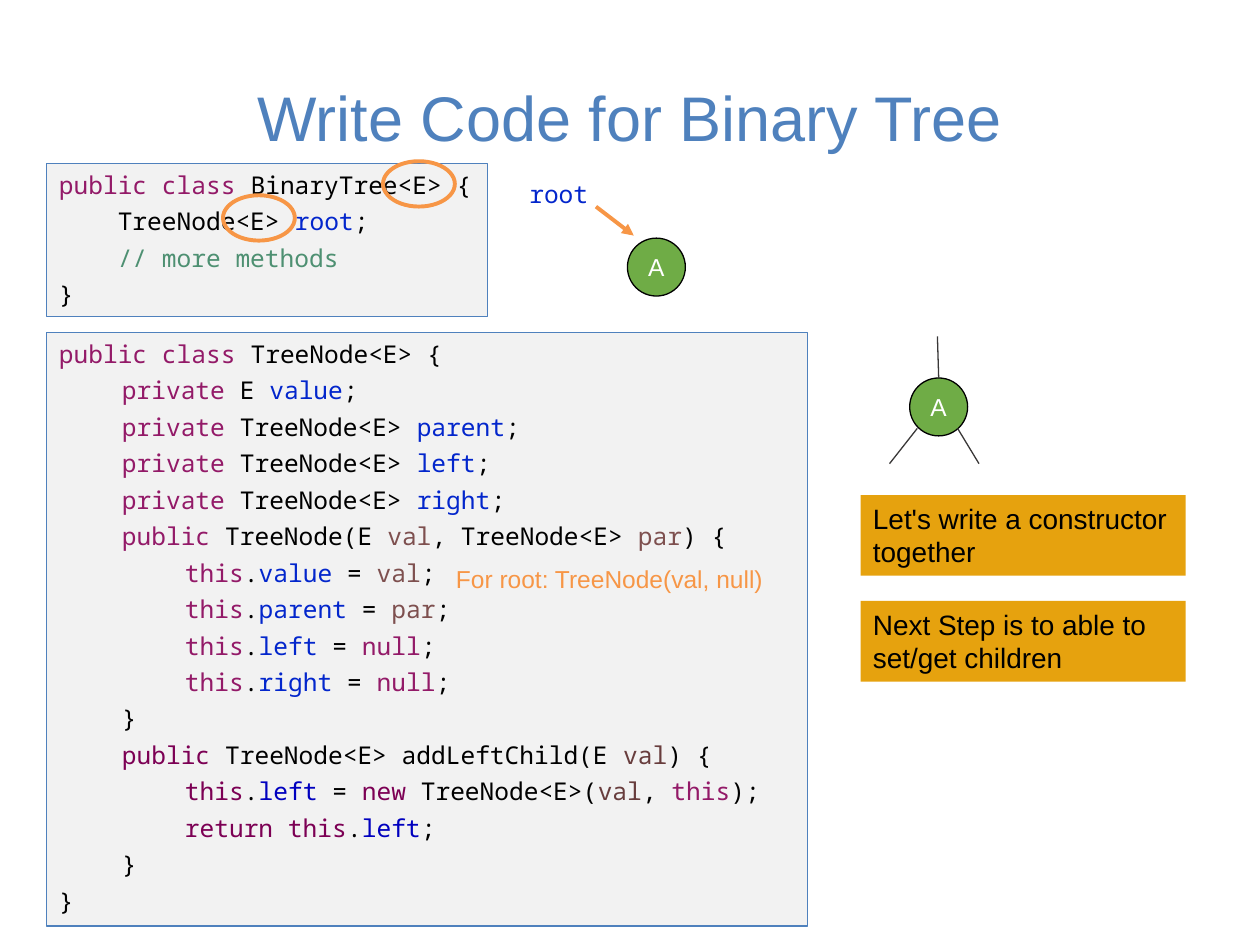
import pptx
import pptx.util
import pptx.dml.color
import pptx.enum.shapes
import pptx.enum.text
import pptx.oxml.ns
from lxml import etree

Inches, Pt = pptx.util.Inches, pptx.util.Pt
SHAPE = pptx.enum.shapes.MSO_SHAPE
ALIGN = pptx.enum.text.PP_ALIGN
ANCHOR = pptx.enum.text.MSO_ANCHOR
SANS, MONO = "Arial", "Noto Sans Mono"

COLORS = {
    "title": "4F81BD", "panel": "F2F2F2", "node": "6FAC46", "edge": "3A3838",
    "mark": "F79646", "note": "E6A20E", "white": "FFFFFF", "text": "000000",
    "key": "931A68", "field": "0326CC", "arg": "7E504F", "comment": "4E9072",
    "key2": "7C0054", "field2": "0000BF", "arg2": "683D3D",
}

# Content: each code line is a list of (text, colour); plain strings are black
TREE = [
    [("public class ", "key"), "BinaryTree<E> {"],
    ["    TreeNode<E> ", ("root", "field"), ";"],
    [("    // more methods", "comment")],
    ["}"],
]


def declare(kind, name):
    return [("\tprivate ", "key"), kind + " ", (name, "field"), ";"]


def assign(name, value, color):
    return [("\t\tthis", "key"), ".", (name, "field"), " = ", (value, color), ";"]


NODE = [
    [("public class ", "key"), "TreeNode<E> {"],
    declare("E", "value"),
    *[declare("TreeNode<E>", name) for name in ("parent", "left", "right")],
    [("\tpublic ", "key"), "TreeNode(E ", ("val", "arg"), ", TreeNode<E> ",
     ("par", "arg"), ") {"],
    assign("value", "val", "arg"),
    assign("parent", "par", "arg"),
    assign("left", "null", "key"),
    assign("right", "null", "key"),
    ["\t}"],
    [("\tpublic ", "key2"), "TreeNode<E> addLeftChild(E ", ("val", "arg2"), ") {"],
    [("\t\tthis", "key2"), ".", ("left ", "field2"), "= ", ("new ", "key2"),
     "TreeNode<E>(", ("val", "arg2"), ", ", ("this", "key"), ");"],
    [("\t\treturn this", "key2"), ".", ("left", "field2"), ";"],
    ["\t}"],
    ["}"],
]
PANELS = [(TREE, (0.37, 1.3, 3.5, 1.21)), (NODE, (0.37, 2.64, 6.04, 4.71))]
LABELS = [  # text, box, size, font, colour, alignment, wrap
    ("Write Code for Binary Tree", (0.5, 0.3, 9, 1.25), 36, SANS, "title", ALIGN.CENTER, True),
    ("root", (4.1, 1.37, 0.67, 0.34), 14, MONO, "field", ALIGN.CENTER, True),
    ("For root: TreeNode(val, null)", (3.52, 4.43, 2.65, 0.34), 14, SANS, "mark", ALIGN.LEFT, False),
]
NOTES = ["Let's write a constructor together", "Next Step is to able to set/get children"]
NODES = [(4.98, 1.89), (7.22, 3)]
RINGS = [(3.04, 1.28), (1.77, 1.55)]
EDGES = [(7.28, 3.4, 7.06, 3.68), (7.44, 2.67, 7.45, 3), (7.6, 3.4, 7.77, 3.68)]
ARROW = (4.73, 1.64, 5.03, 1.87)

deck = pptx.Presentation()
deck.slide_width, deck.slide_height = Inches(10), Inches(7.5)
slide = deck.slides.add_slide(deck.slide_layouts[6])


def rgb(name):
    return pptx.dml.color.RGBColor.from_string(COLORS[name])


def style(font, size, face, color):
    font.size, font.name = Pt(size), face
    font.color.rgb = rgb(color)


def shape(kind, box, fill=None, line=None, width=0.75):
    item = slide.shapes.add_shape(kind, *map(Inches, box))
    item.shadow.inherit = False
    if fill:
        item.fill.solid()
        item.fill.fore_color.rgb = rgb(fill)
    else:
        item.fill.background()
    if line:
        item.line.color.rgb = rgb(line)
        item.line.width = Pt(width)
    else:
        item.line.fill.background()
    return item


def write(item, text, size, face, color, align, anchor):
    frame = item.text_frame
    frame.text = text
    frame.word_wrap = True
    frame.vertical_anchor = anchor
    para = frame.paragraphs[0]
    para.alignment = align
    style(para.runs[0].font, size, face, color)
    return frame


def connect(ends, color, width):
    item = slide.shapes.add_connector(
        pptx.enum.shapes.MSO_CONNECTOR.STRAIGHT, *map(Inches, ends))
    item.line.color.rgb = rgb(color)
    item.line.width = Pt(width)
    etree.SubElement(item.element.spPr, pptx.oxml.ns.qn("a:effectLst"))
    return item


def add_tabs(para):
    tabs = etree.SubElement(para._p.get_or_add_pPr(), pptx.oxml.ns.qn("a:tabLst"))
    for step in (1, 2):
        etree.SubElement(tabs, pptx.oxml.ns.qn("a:tab"),
                         pos=str(Inches(0.5 * step)), algn="l")


# Code panels
for lines, box in PANELS:
    frame = shape(SHAPE.RECTANGLE, box, "panel", "title").text_frame
    frame.word_wrap = True
    frame.vertical_anchor = ANCHOR.TOP
    for row, line in enumerate(lines):
        para = frame.add_paragraph() if row else frame.paragraphs[0]
        add_tabs(para)
        para.alignment = ALIGN.LEFT
        para.space_before, para.space_after = Pt(2 if row else 0), Pt(2)
        for part in line:
            text, color = (part, "text") if isinstance(part, str) else part
            run = para.add_run()
            run.text = text
            style(run.font, 14, MONO, color)

# Tree nodes, their edges and the root arrow
for left, top in NODES:
    oval = shape(SHAPE.OVAL, (left, top, 0.46, 0.46), "node", "text")
    frame = write(oval, "A", 14, SANS, "white", ALIGN.CENTER, ANCHOR.MIDDLE)
    frame.margin_left = frame.margin_right = 0
    frame.margin_top = frame.margin_bottom = 0
for ends in EDGES:
    connect(ends, "edge", 0.75)
arrow = connect(ARROW, "mark", 2.25)
etree.SubElement(arrow.line._get_or_add_ln(), pptx.oxml.ns.qn("a:tailEnd"), type="triangle")

# Notes on the right
for row, text in enumerate(NOTES):
    note = shape(SHAPE.RECTANGLE, (6.83, 3.93 + 0.84 * row, 2.58, 0.64), "note")
    write(note, text, 16, SANS, "text", ALIGN.LEFT, ANCHOR.TOP)

# Rings around the type parameters
for left, top in RINGS:
    shape(SHAPE.OVAL, (left, top, 0.57, 0.36), line="mark", width=2.25)

# Title and labels
for text, box, size, face, color, align, wrap in LABELS:
    label = slide.shapes.add_textbox(*map(Inches, box))
    anchor = ANCHOR.MIDDLE if color == "title" else ANCHOR.TOP
    write(label, text, size, face, color, align, anchor).word_wrap = wrap

deck.save("out.pptx")
